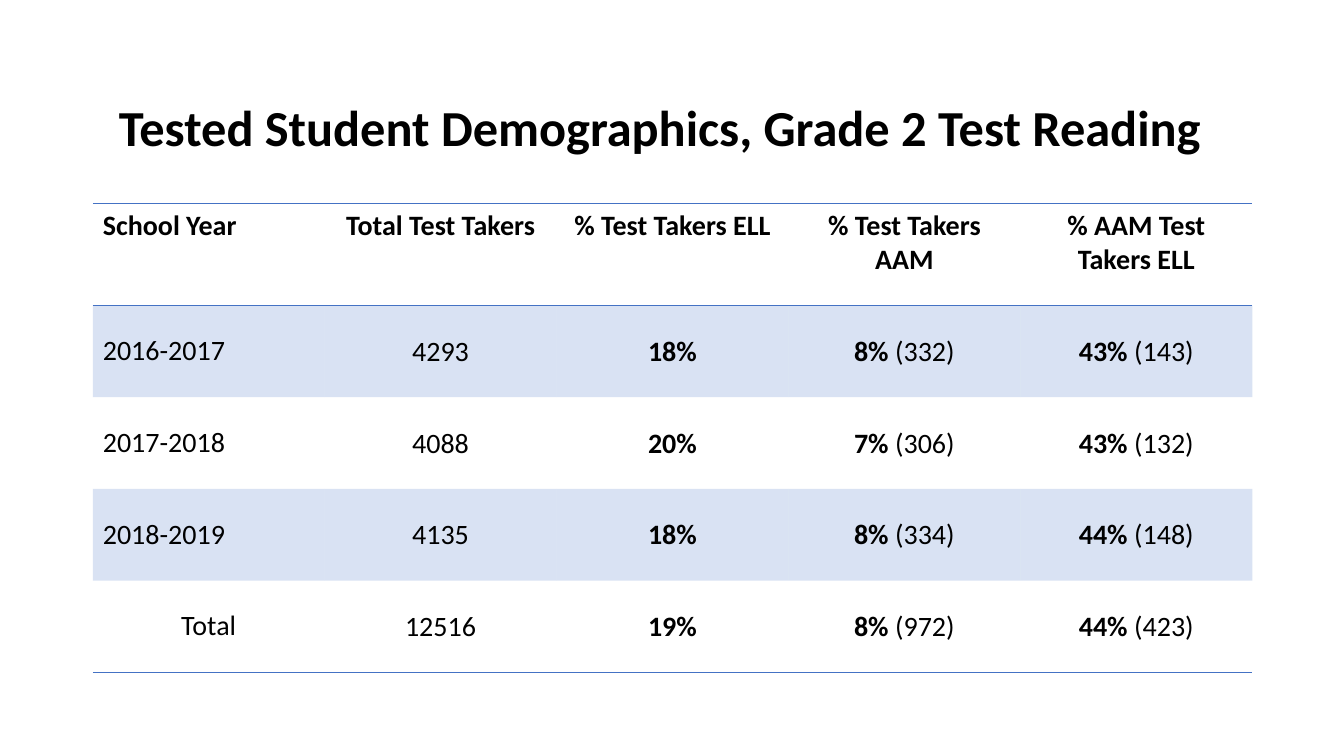
from dataclasses import dataclass
from typing import NamedTuple

from lxml.etree import SubElement
from pptx import Presentation
from pptx.dml.color import RGBColor
from pptx.enum.text import MSO_ANCHOR, PP_ALIGN
from pptx.oxml import parse_xml
from pptx.oxml.ns import nsdecls, qn
from pptx.util import Inches, Pt


@dataclass(frozen=True)
class Theme:
    font: str = "Calibri"
    text: str = "000000"
    accent: str = "4472C4"
    band_alpha: int = 20000
    title_size: int = 36
    table_size: int = 20
    rule_width: int = 1
    no_style: str = "{2D5ABB26-0587-4C30-8999-92F81FD0307C}"


class YearRow(NamedTuple):
    year: str
    takers: str
    ell: str
    aam: tuple[str, str]
    aam_ell: tuple[str, str]


THEME = Theme()
TITLE = "Tested Student Demographics, Grade 2 Test Reading"
HEADERS = ("School Year", "Total Test Takers", "% Test Takers ELL",
           "% Test Takers AAM", "% AAM Test Takers ELL")
ROWS = (
    YearRow("2016-2017", "4293", "18%", ("8% ", "(332)"), ("43% ", "(143)")),
    YearRow("2017-2018", "4088", "20%", ("7% ", "(306)"), ("43% ", "(132)")),
    YearRow("2018-2019", "4135", "18%", ("8% ", "(334)"), ("44% ", "(148)")),
    YearRow("Total", "12516", "19%", ("8% ", "(972)"), ("44% ", "(423)")),
)
COL_WIDTH = Inches(2.3)
HEADER_HEIGHT, ROW_HEIGHT = Inches(1.01), Inches(0.91)


def set_all(obj, values: dict) -> None:
    for name, value in values.items():
        setattr(obj, name, value)


def add_run(p, text: str, size: int, bold: bool) -> None:
    r = p.add_run()
    r.text = text
    set_all(r.font, {"name": THEME.font, "size": Pt(size), "bold": bold})
    r.font.color.rgb = RGBColor.from_string(THEME.text)


def add_rules(cell, sides: str) -> None:
    """Draw the accent rule on the given sides, T and B."""
    tc_pr = cell._tc.get_or_add_tcPr()
    for i, side in enumerate(sides):
        tc_pr.insert(i, parse_xml(
            f'<a:ln{side} {nsdecls("a")} w="{Pt(THEME.rule_width)}"><a:solidFill>'
            f'<a:srgbClr val="{THEME.accent}"/></a:solidFill></a:ln{side}>'))


def fill_cell(cell, banded: bool) -> None:
    if not banded:
        cell.fill.background()
        return
    cell.fill.solid()
    cell.fill.fore_color.rgb = RGBColor.from_string(THEME.accent)
    color = next(cell._tc.tcPr.iter(qn("a:srgbClr")))
    SubElement(color, qn("a:alpha")).set("val", str(THEME.band_alpha))


def add_title(slide) -> None:
    sp = slide.shapes.add_textbox(Inches(1.08), Inches(0.57), Inches(11.5), Inches(1.45))
    tf = sp.text_frame
    set_all(tf, {"word_wrap": True, "vertical_anchor": MSO_ANCHOR.MIDDLE})
    p = tf.paragraphs[0]
    p.line_spacing = 0.9
    add_run(p, TITLE, THEME.title_size, True)


def write_header(cell, text: str, col: int) -> None:
    p = cell.text_frame.paragraphs[0]
    p.alignment = PP_ALIGN.CENTER if col else PP_ALIGN.LEFT
    add_run(p, text, THEME.table_size, True)
    fill_cell(cell, False)
    add_rules(cell, "TB")


def write_value(cell, value: str | tuple[str, str], row: int, col: int) -> None:
    last = row == len(ROWS)
    cell.vertical_anchor = MSO_ANCHOR.MIDDLE
    if col:
        set_all(cell, {"margin_left": Inches(0.01), "margin_right": Inches(0.01),
                       "margin_top": Inches(0.01), "margin_bottom": 0})
    p = cell.text_frame.paragraphs[0]
    p.alignment = PP_ALIGN.CENTER if col or last else PP_ALIGN.LEFT
    for text in (value,) if isinstance(value, str) else value:
        add_run(p, text, THEME.table_size, "%" in text)
    fill_cell(cell, row % 2 == 1)
    if last:
        add_rules(cell, "B")


def add_demographics_table(slide) -> None:
    n_rows, n_cols = len(ROWS) + 1, len(HEADERS)
    frame = slide.shapes.add_table(n_rows, n_cols, Inches(0.92), Inches(2.02),
                                   COL_WIDTH * n_cols,
                                   HEADER_HEIGHT + ROW_HEIGHT * len(ROWS))
    table = frame.table
    set_all(table, {"first_row": False, "horz_banding": False})
    table._tbl.tblPr.find(qn("a:tableStyleId")).text = THEME.no_style
    for column in table.columns:
        column.width = COL_WIDTH
    for i, row in enumerate(table.rows):
        row.height = ROW_HEIGHT if i else HEADER_HEIGHT

    for col, text in enumerate(HEADERS):
        write_header(table.cell(0, col), text, col)
    for row, values in enumerate(ROWS, start=1):
        for col, value in enumerate(values):
            write_value(table.cell(row, col), value, row, col)


# Slide
prs = Presentation()
set_all(prs, {"slide_width": Inches(13.33), "slide_height": Inches(7.5)})
slide = prs.slides.add_slide(prs.slide_layouts[6])

# Title and table
add_title(slide)
add_demographics_table(slide)

prs.save("out.pptx")
